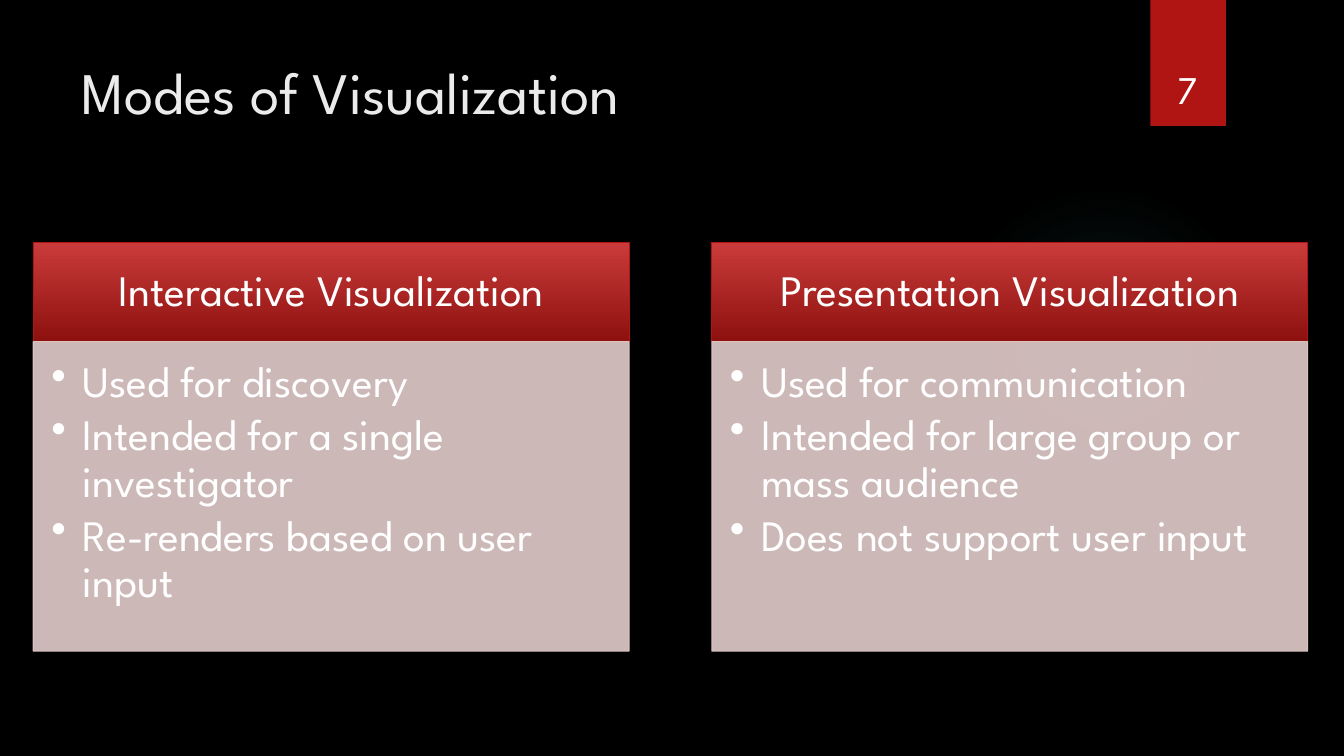
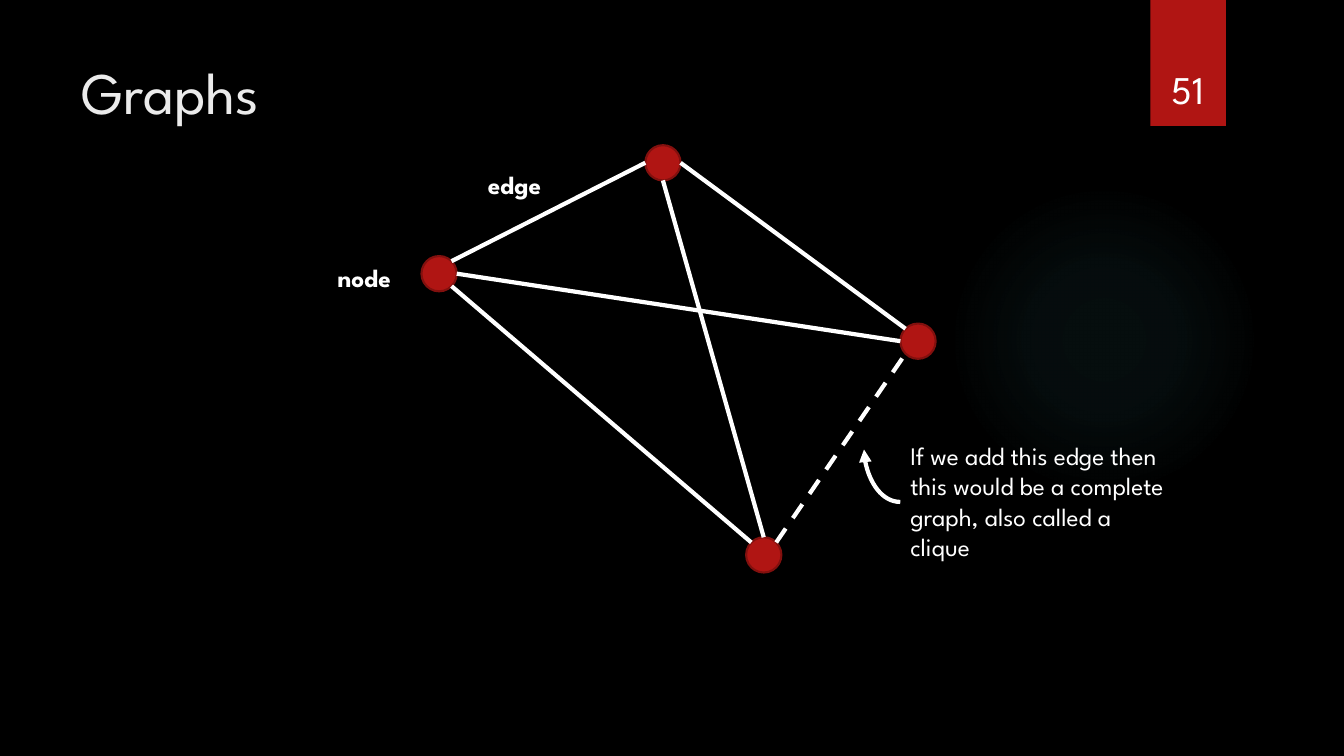
from dataclasses import dataclass
from math import cos, radians, sin

from lxml.etree import SubElement
from pptx import Presentation
from pptx.dml.color import RGBColor as RGB
from pptx.enum.dml import MSO_LINE as Dash
from pptx.enum.shapes import MSO_CONNECTOR as Link, MSO_SHAPE as Shape
from pptx.enum.text import MSO_ANCHOR as Anchor, PP_ALIGN as Align
from pptx.oxml import parse_xml
from pptx.oxml.ns import nsdecls, qn
from pptx.util import Inches, Pt


@dataclass(frozen=True)
class Theme:
    """Colours, font and type sizes shared by the slides."""
    font: str = "League Spartan"
    background: str = "000000"
    accent: str = "B01513"
    node_rim: str = "82100E"
    header_top: str = "C93B3A"
    header_bottom: str = "8D110F"
    panel: str = "E4CCCC"
    glow: str = "50B9C1"
    title: str = "EBEBEB"
    text: str = "FFFFFF"
    title_size: int = 42
    number_size: int = 28
    panel_size: int = 31
    label_size: int = 18


THEME = Theme()
NODE_SIZE = 0.35


def color(code):
    """Turn a hex code into a colour."""
    return RGB.from_string(code)


def add_shape(page, kind, box, fill=None, line=None, width=0.75):
    """Add a shadowless preset shape with an optional solid fill and outline."""
    shape = page.shapes.add_shape(kind, *map(Inches, box))
    shape.shadow.inherit = False
    if fill:
        shape.fill.solid()
        shape.fill.fore_color.rgb = color(fill)
    if line:
        shape.line.color.rgb = color(line)
        shape.line.width = Pt(width)
    else:
        shape.line.fill.background()
    return shape


def set_alpha(shape, percent):
    """Make the colours of a shape partly transparent."""
    for tint in shape._element.spPr.iter(qn("a:srgbClr")):
        SubElement(tint, qn("a:alpha")).set("val", str(percent * 1000))


def write(shape, lines, size, ink=THEME.text, align=Align.LEFT, anchor=Anchor.TOP,
          bold=False, wrap=True, insets=(0.1, 0.05, 0.1, 0.05)):
    """Fill a shape with styled paragraphs and return them."""
    frame = shape.text_frame
    frame.word_wrap = wrap
    frame.vertical_anchor = anchor
    (frame.margin_left, frame.margin_top,
     frame.margin_right, frame.margin_bottom) = map(Inches, insets)
    frame.text = "\n".join(lines)
    for para in frame.paragraphs:
        para.alignment = align
        for span in para.runs:
            span.font.name = THEME.font
            span.font.size = Pt(size)
            span.font.bold = bold
            span.font.color.rgb = color(ink)
    return frame.paragraphs


def add_text(page, box, text, size, **style):
    """Add a text box holding one paragraph."""
    write(page.shapes.add_textbox(*map(Inches, box)), [text], size, **style)


def add_glow(page, box):
    """Add the faint round glow behind the content."""
    glow = add_shape(page, Shape.OVAL, box)
    stops = "".join(
        f'<a:gs pos="{place * 1000}"><a:srgbClr val="{THEME.glow}">'
        f'<a:alpha val="{alpha * 1000}"/></a:srgbClr></a:gs>'
        for place, alpha in ((0, 7), (36, 6), (69, 0)))
    gradient = parse_xml(
        f'<a:gradFill {nsdecls("a")}><a:gsLst>{stops}</a:gsLst><a:path path="circle">'
        '<a:fillToRect l="50000" t="50000" r="50000" b="50000"/></a:path></a:gradFill>')
    glow._element.spPr.find(qn("a:prstGeom")).addnext(gradient)


def add_page(deck, title, number):
    """Add a slide with the background, ribbon, title and number."""
    page = deck.slides.add_slide(deck.slide_layouts[6])
    page.background.fill.solid()
    page.background.fill.fore_color.rgb = color(THEME.background)
    add_glow(page, (9.41, 1.83, 3.08, 3.08))
    add_shape(page, Shape.RECTANGLE, (11.41, 0, 0.75, 1.25), THEME.accent)
    add_text(page, (0.71, 0.5, 10.29, 1.53), title, THEME.title_size, ink=THEME.title)
    add_text(page, (11.32, 0.32, 0.92, 0.84), str(number), THEME.number_size,
             align=Align.CENTER, anchor=Anchor.BOTTOM)
    return page


def add_panel(page, box, heading, points):
    """Add a gradient heading above a bulleted panel."""
    left, top, width, height = box
    header_height = 0.98
    header = add_shape(page, Shape.RECTANGLE, (left, top, width, header_height),
                       line=THEME.accent)
    header.fill.gradient()
    header.fill.gradient_angle = 270
    for stop, code in zip(header.fill.gradient_stops,
                          (THEME.header_top, THEME.header_bottom)):
        stop.color.rgb = color(code)
        stop.position = float(code == THEME.header_bottom)
    write(header, [heading], THEME.panel_size, align=Align.CENTER,
          anchor=Anchor.MIDDLE, insets=(0.24, 0.14, 0.24, 0.14))[0].line_spacing = 0.9

    body = add_shape(page, Shape.RECTANGLE,
                     (left, top + header_height, width, height - header_height),
                     THEME.panel, THEME.panel)
    set_alpha(body, 90)
    for para in write(body, points, THEME.panel_size, insets=(0.18, 0.18, 0.24, 0.27)):
        para.line_spacing = 0.9
        para.space_after = Pt(4.65)
        settings = para._p.get_or_add_pPr()
        settings.set("marL", str(Inches(0.31)))
        settings.set("indent", str(-Inches(0.31)))
        SubElement(settings, qn("a:buChar")).set("char", "•")


def add_link(page, start, end, kind=Link.STRAIGHT, dash=None):
    """Add a connector between two points."""
    link = page.shapes.add_connector(kind, *map(Inches, (*start, *end)))
    link.line.color.rgb = color(THEME.text)
    link.line.width = Pt(3)
    if dash:
        link.line.dash_style = dash
    SubElement(link._element.spPr, qn("a:effectLst"))
    return link


def add_curved_arrow(page, start, end):
    """Add a quarter-turn arrow that leaves sideways and arrives upright."""
    arrow = add_link(page, start, end, Link.CURVE)
    arrow._element.spPr.find(qn("a:prstGeom")).set("prst", "curvedConnector2")
    SubElement(arrow.line._get_or_add_ln(), qn("a:tailEnd")).set("type", "triangle")


def rim_point(corner, angle):
    """Find the point on a node's rim at an anticlockwise angle in degrees."""
    radius = NODE_SIZE / 2
    left, top = corner
    return (left + radius * (1 + cos(radians(angle))),
            top + radius * (1 - sin(radians(angle))))


def add_graph(page, box):
    """Draw the four-node graph, its labels and the note on the missing edge."""
    left, top = box[:2]

    def at(across, down):
        """Shift a point into the box."""
        return left + across, top + down

    nodes = {"west": at(0.93, 1.1), "south": at(4.15, 3.89),
             "east": at(5.68, 1.77), "north": at(3.15, 0)}
    edges = [("west", 45, "north", 180, None), ("west", 0, "east", 180, None),
             ("west", -45, "south", 135, None), ("east", 135, "north", 0, None),
             ("south", 90, "north", -90, None), ("south", 45, "east", -135, Dash.DASH)]
    for corner in nodes.values():
        add_shape(page, Shape.OVAL, (*corner, NODE_SIZE, NODE_SIZE),
                  THEME.accent, THEME.node_rim, 1.5)
    for first, leaving, second, arriving, dash in edges:
        add_link(page, rim_point(nodes[first], leaving),
                 rim_point(nodes[second], arriving), dash=dash)
    for label, corner in (("edge", at(1.49, 0.19)), ("node", at(0, 1.11))):
        add_text(page, (*corner, 0.88, 0.4), label, THEME.label_size,
                 bold=True, wrap=False)
    add_text(page, (*at(5.68, 2.88), 2.76, 1.31),
             "If we add this edge then this would be a complete graph, also called a clique",
             THEME.label_size)
    add_curved_arrow(page, at(5.68, 3.54), at(5.32, 3.02))


def build_modes(deck):
    """Build the slide that compares two modes of visualization."""
    page = add_page(deck, "Modes of Visualization", 7)
    panels = [
        ("Interactive Visualization",
         ["Used for discovery", "Intended for a single investigator",
          "Re-renders based on user input"]),
        ("Presentation Visualization",
         ["Used for communication", "Intended for large group or mass audience",
          "Does not support user input"]),
    ]
    for column, (heading, points) in enumerate(panels):
        add_panel(page, (0.33 + column * 6.73, 2.41, 5.91, 4.05), heading, points)


def build_graphs(deck):
    """Build the slide that introduces graphs."""
    add_graph(add_page(deck, "Graphs", 51), (3.25, 1.44, 8.44, 4.24))


def main():
    """Build and save the deck."""
    deck = Presentation()
    deck.slide_width, deck.slide_height = Inches(13.33), Inches(7.5)
    build_modes(deck)
    build_graphs(deck)
    deck.save("out.pptx")


if __name__ == "__main__":
    main()
